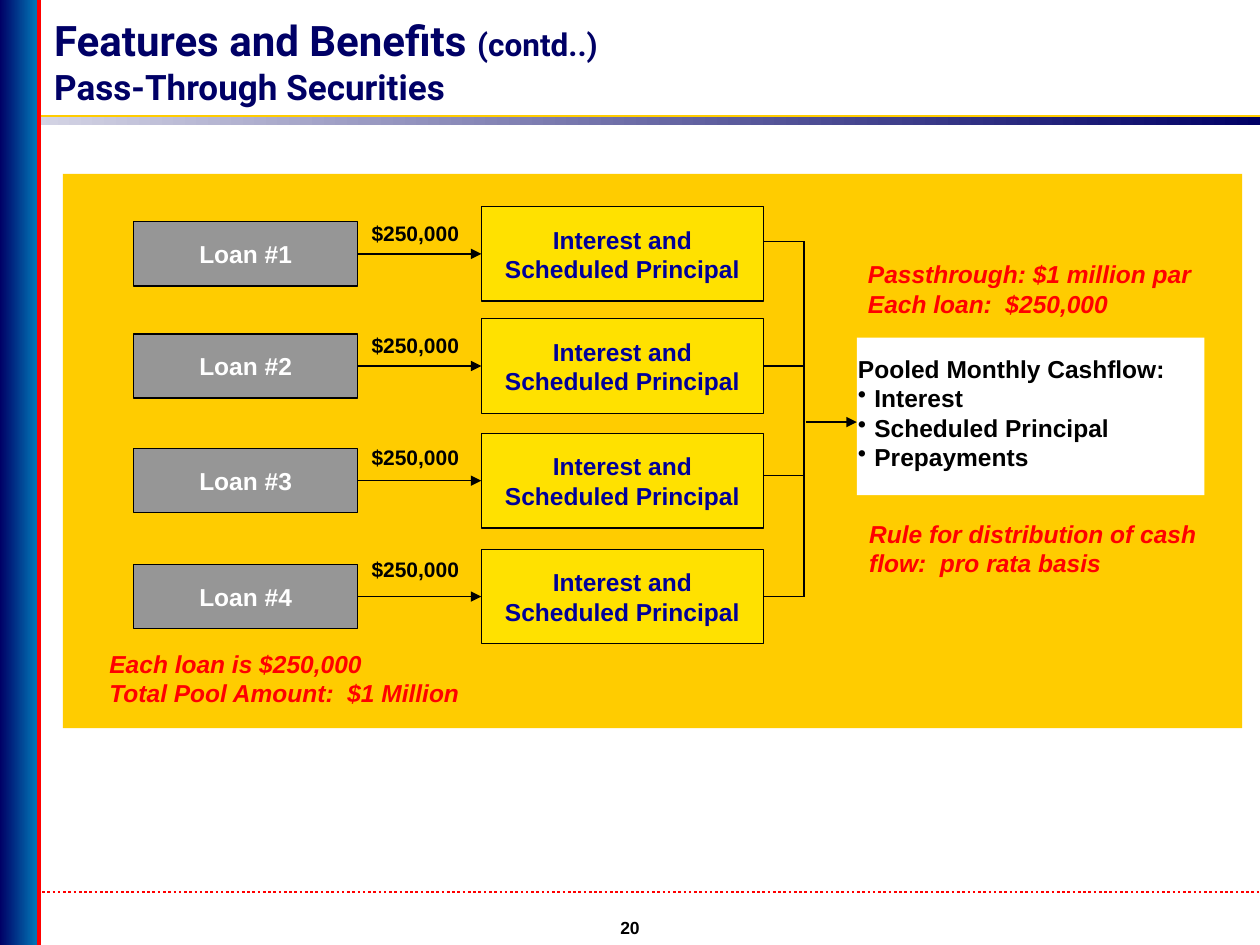
import pptx
import pptx.util
import pptx.dml.color
import pptx.enum.dml
import pptx.enum.shapes
import pptx.enum.text
import pptx.oxml
import pptx.oxml.ns
from lxml import etree

Inches = pptx.util.Inches
Pt = pptx.util.Pt
RGBColor = pptx.dml.color.RGBColor
Align = pptx.enum.text.PP_ALIGN
Anchor = pptx.enum.text.MSO_ANCHOR
qn = pptx.oxml.ns.qn

NAVY = RGBColor(0x00, 0x00, 0x66)
BLUE = RGBColor(0x01, 0x75, 0xB5)
PALE = RGBColor(0xDA, 0xDA, 0xE8)
INK = RGBColor(0x00, 0x00, 0x99)
GOLD = RGBColor(0xFF, 0xCC, 0x00)
YELLOW = RGBColor(0xFF, 0xE1, 0x00)
GRAY = RGBColor(0x96, 0x96, 0x96)
RED = RGBColor(0xFF, 0x00, 0x00)
BLACK = RGBColor(0x00, 0x00, 0x00)
WHITE = RGBColor(0xFF, 0xFF, 0xFF)

ROWS = (0.26, 1.15, 2.06, 2.98)  # tops of the payment boxes in the panel
TAPS = (-0.1, 0, -0.04, 0)       # height of each tap against its box's middle


def style(font, size, color, italic=False, name="Arial"):
    font.name, font.size, font.bold, font.italic = name, Pt(size), True, italic
    font.color.rgb = color


def write(shape, lines, size, color, align=Align.LEFT, italic=False):
    frame = shape.text_frame
    frame.word_wrap = True
    frame.text = "\n".join(lines)
    for para in frame.paragraphs:
        para.alignment = align
        style(para.font, size, color, italic)


def add_text(slide, x, y, w, h, lines, size, color, **look):
    box = slide.shapes.add_textbox(Inches(x), Inches(y), Inches(w), Inches(h))
    write(box, lines, size, color, **look)


def add_rect(slide, x, y, w, h, fill, line=None):
    """Add a rectangle; a list of two fills makes a left-to-right gradient."""
    rect = slide.shapes.add_shape(
        pptx.enum.shapes.MSO_SHAPE.RECTANGLE,
        Inches(x), Inches(y), Inches(w), Inches(h))
    rect.shadow.inherit = False
    if isinstance(fill, list):
        rect.fill.gradient()
        rect.fill.gradient_angle = 0
        for stop, color in zip(rect.fill.gradient_stops, fill):
            stop.color.rgb = color
    else:
        rect.fill.solid()
        rect.fill.fore_color.rgb = fill
    if line is None:
        rect.line.fill.background()
    else:
        rect.line.color.rgb = line
        rect.line.width = Pt(0.75)
    return rect


def add_line(slide, x1, y1, x2, y2, color=BLACK, width=0.75, arrow=False):
    line = slide.shapes.add_connector(
        pptx.enum.shapes.MSO_CONNECTOR.STRAIGHT,
        Inches(x1), Inches(y1), Inches(x2), Inches(y2))
    line.line.color.rgb = color
    line.line.width = Pt(width)
    props = line._element.spPr
    if arrow:
        etree.SubElement(props.find(qn("a:ln")), qn("a:tailEnd"), type="triangle")
    etree.SubElement(props, qn("a:effectLst"))
    return line


def add_bullet(para):
    props = para._p.get_or_add_pPr()
    props.set("marL", str(Inches(0.13)))
    props.set("indent", str(-Inches(0.13)))
    bullet = etree.Element(qn("a:buChar"), char="•")
    props.find(qn("a:defRPr")).addprevious(bullet)


def draw_frame(slide, w, h):
    foot = add_line(slide, 0, 7.08, w, 7.08, RED, 1.5)
    foot.line.dash_style = pptx.enum.dml.MSO_LINE.ROUND_DOT
    add_rect(slide, 0, 0.92, w, 0.07, [PALE, NAVY])
    add_line(slide, 0.03, 0.92, w, 0.92, GOLD, 1.5)
    add_rect(slide, 0, 0, 0.29, h, [NAVY, BLUE])
    add_line(slide, 0.31, 0, 0.31, h, RED, 2)
    add_text(slide, 3.96, 7.23, 2.08, 0.27, ["20"], 10, BLACK, align=Align.CENTER)


def draw_title(slide, x, y, w, h):
    box = slide.shapes.add_textbox(Inches(x), Inches(y), Inches(w), Inches(h))
    frame = box.text_frame
    frame.word_wrap = True
    frame.vertical_anchor = Anchor.MIDDLE
    frame.margin_left = frame.margin_right = 0
    frame.margin_top = frame.margin_bottom = 0
    para = frame.paragraphs[0]
    for text, size in (("Features and Benefits ", 24), ("(contd..)", 18),
                       ("Pass-Through Securities", 20)):
        if size == 20:
            para.add_line_break()
        run = para.add_run()
        run.text = text
        style(run.font, size, NAVY, name="Roboto")


def draw_loan(slide, x, y, num, tap):
    """Draw one loan, its payment box and the tap to the shared line."""
    loan = add_rect(slide, x, y + 0.12, 1.78, 0.51, GRAY, BLACK)
    write(loan, [f"Loan #{num}"], 14, WHITE, Align.CENTER)
    pay = add_rect(slide, x + 2.76, y, 2.24, 0.75, YELLOW, BLACK)
    write(pay, ["Interest and Scheduled Principal"], 14, INK, Align.CENTER)
    mid = y + 0.375
    arrow = add_line(slide, x + 1.78, mid, x + 2.76, mid, arrow=True)
    arrow.begin_connect(loan, 3)
    arrow.end_connect(pay, 1)
    stub = add_line(slide, x + 5, mid + tap, x + 5.32, mid + tap)
    if not tap:
        stub.begin_connect(pay, 3)


def draw_pool(slide, x, y, w, h):
    pool = add_rect(slide, x, y, w, h, WHITE)
    write(pool, ["Pooled Monthly Cashflow:", "Interest", "Scheduled Principal",
                 "Prepayments"], 14, BLACK)
    frame = pool.text_frame
    frame.vertical_anchor = Anchor.TOP
    frame.margin_left, frame.margin_top = Inches(0.01), Inches(0.13)
    for para in frame.paragraphs[1:]:
        add_bullet(para)


def draw_flow(slide, x, y, w, h):
    add_rect(slide, x, y, w, h, GOLD)
    for i, (row, tap) in enumerate(zip(ROWS, TAPS)):
        draw_loan(slide, x + 0.56, y + row, i + 1, tap)
        add_text(slide, x + 2.35, y + 0.32 + 0.89 * i, 0.95, 0.3,
                 ["$250,000"], 12, BLACK)
    first, last = (y + ROWS[i] + 0.375 + TAPS[i] for i in (0, -1))
    add_line(slide, x + 5.88, first, x + 5.88, last)
    draw_pool(slide, x + 6.3, y + 1.3, 2.76, 1.25)
    add_line(slide, x + 5.9, y + 1.97, x + 6.3, y + 1.97, arrow=True)
    notes = (
        (6.29, 0.63, 2.9, ["Passthrough: $1 million par", "Each loan:  $250,000"]),
        (6.3, 2.69, 2.96, ["Rule for distribution of cash flow:  pro rata basis"]),
        (0.27, 3.72, 3.1, ["Each loan is $250,000", "Total Pool Amount:  $1 Million"]),
    )
    for left, top, wide, lines in notes:
        add_text(slide, x + left, y + top, wide, 0.57, lines, 14, RED, italic=True)


def main():
    deck = pptx.Presentation()
    deck.slide_width, deck.slide_height = Inches(10), Inches(7.5)
    slide = deck.slides.add_slide(deck.slide_layouts[6])
    draw_frame(slide, 10, 7.5)
    draw_title(slide, 0.43, 0.08, 7.9, 0.81)
    draw_flow(slide, 0.5, 1.38, 9.36, 4.4)
    deck.save("out.pptx")


if __name__ == "__main__":
    main()
